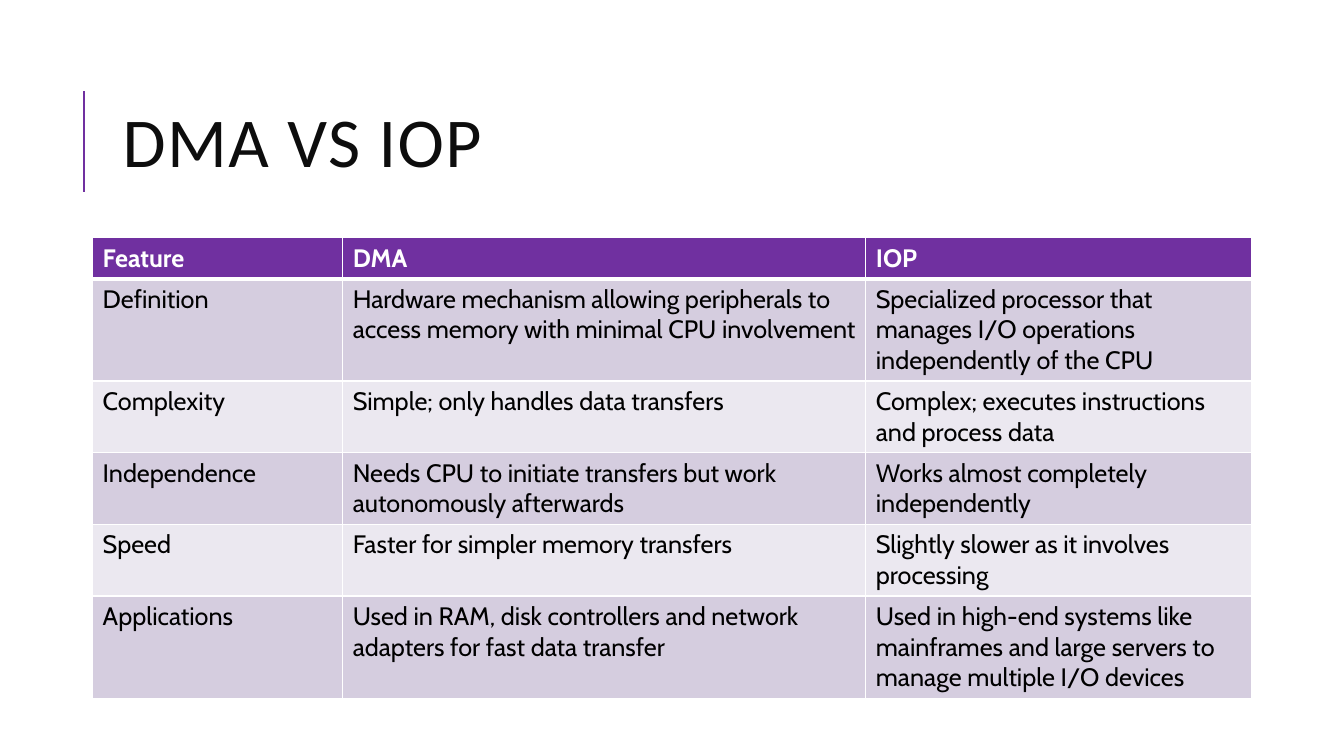
from dataclasses import dataclass

from lxml import etree
from pptx import Presentation
from pptx.dml.color import RGBColor
from pptx.enum.shapes import MSO_CONNECTOR
from pptx.enum.text import MSO_ANCHOR
from pptx.oxml.ns import qn
from pptx.util import Pt

STRAIGHT = MSO_CONNECTOR.STRAIGHT
MIDDLE = MSO_ANCHOR.MIDDLE

PURPLE = RGBColor(0x70, 0x30, 0xA0)
DARK_BAND = RGBColor(0xD5, 0xCD, 0xDF)
LIGHT_BAND = RGBColor(0xEB, 0xE8, 0xF0)
INK = RGBColor(0x0D, 0x0D, 0x0D)
BLACK = RGBColor(0x00, 0x00, 0x00)
WHITE = RGBColor(0xFF, 0xFF, 0xFF)

TITLE_FONT = "Calibri"
TABLE_FONT = "Cabin"
COLUMN_WIDTHS = (178.6, 373.7, 275.7)


@dataclass(frozen=True)
class Row:
    feature: str
    dma: str
    iop: str
    height: float


ROWS = (
    Row("Feature", "DMA", "IOP", 29.2),
    Row(
        "Definition",
        "Hardware mechanism allowing peripherals to access memory with minimal CPU involvement",
        "Specialized processor that manages I/O operations independently of the CPU",
        73,
    ),
    Row(
        "Complexity",
        "Simple; only handles data transfers",
        "Complex; executes instructions and process data",
        51.2,
    ),
    Row(
        "Independence",
        "Needs CPU to initiate transfers but work autonomously afterwards",
        "Works almost completely independently",
        51.2,
    ),
    Row(
        "Speed",
        "Faster for simpler memory transfers",
        "Slightly slower as it involves processing",
        51.2,
    ),
    Row(
        "Applications",
        "Used in RAM, disk controllers and network adapters for fast data transfer",
        "Used in high-end systems like mainframes and large servers to manage multiple I/O devices",
        73,
    ),
)


def add_accent(page) -> None:
    accent = page.shapes.add_connector(STRAIGHT, Pt(60), Pt(136.8), Pt(60), Pt(64.8))
    accent.line.color.rgb = PURPLE
    accent.line.width = Pt(1.5)
    etree.SubElement(accent._element.spPr, qn("a:effectLst"))


def add_title(page, text: str) -> None:
    box = page.shapes.add_textbox(Pt(80.6), Pt(46.1), Pt(765.4), Pt(118.1))
    frame = box.text_frame
    frame.word_wrap = True
    frame.vertical_anchor = MIDDLE
    para = frame.paragraphs[0]
    para.line_spacing = 0.8
    para.font.name = TITLE_FONT
    para.font.size = Pt(50)
    para.font.color.rgb = INK
    span = para.add_run()
    span.text = text
    span.font._element.set("spc", "100")


def add_border(cell, side: str, width: float) -> None:
    properties = cell._tc.get_or_add_tcPr()
    line = etree.SubElement(properties, qn(f"a:ln{side}"), w=str(Pt(width)))
    fill = etree.SubElement(line, qn("a:solidFill"))
    etree.SubElement(fill, qn("a:srgbClr"), val=str(WHITE))


def style_cell(cell, text: str, row_index: int) -> None:
    header = row_index == 0
    top = 3 if row_index == 1 else 1
    bottom = 3 if header else 1
    for side, width in (("L", 1), ("R", 1), ("T", top), ("B", bottom)):
        add_border(cell, side, width)
    cell.fill.solid()
    band = DARK_BAND if row_index % 2 else LIGHT_BAND
    cell.fill.fore_color.rgb = PURPLE if header else band
    cell.text = text
    font = cell.text_frame.paragraphs[0].font
    font.name = TABLE_FONT
    font.size = Pt(18)
    font.bold = header
    font.color.rgb = WHITE if header else BLACK


def add_comparison(page, rows: tuple[Row, ...]) -> None:
    width = sum(COLUMN_WIDTHS)
    height = sum(row.height for row in rows)
    table = page.shapes.add_table(
        len(rows), len(COLUMN_WIDTHS), Pt(66.2), Pt(169.9), Pt(width), Pt(height)
    ).table
    for column, column_width in zip(table.columns, COLUMN_WIDTHS):
        column.width = Pt(column_width)
    for row_index, row in enumerate(rows):
        table.rows[row_index].height = Pt(row.height)
        for column_index, text in enumerate((row.feature, row.dma, row.iop)):
            style_cell(table.cell(row_index, column_index), text, row_index)


def main() -> None:
    deck = Presentation()
    deck.slide_width = Pt(960)
    deck.slide_height = Pt(540)
    page = deck.slides.add_slide(deck.slide_layouts[6])
    add_accent(page)
    add_title(page, "DMA VS IOP")
    add_comparison(page, ROWS)
    deck.save("out.pptx")


if __name__ == "__main__":
    main()
